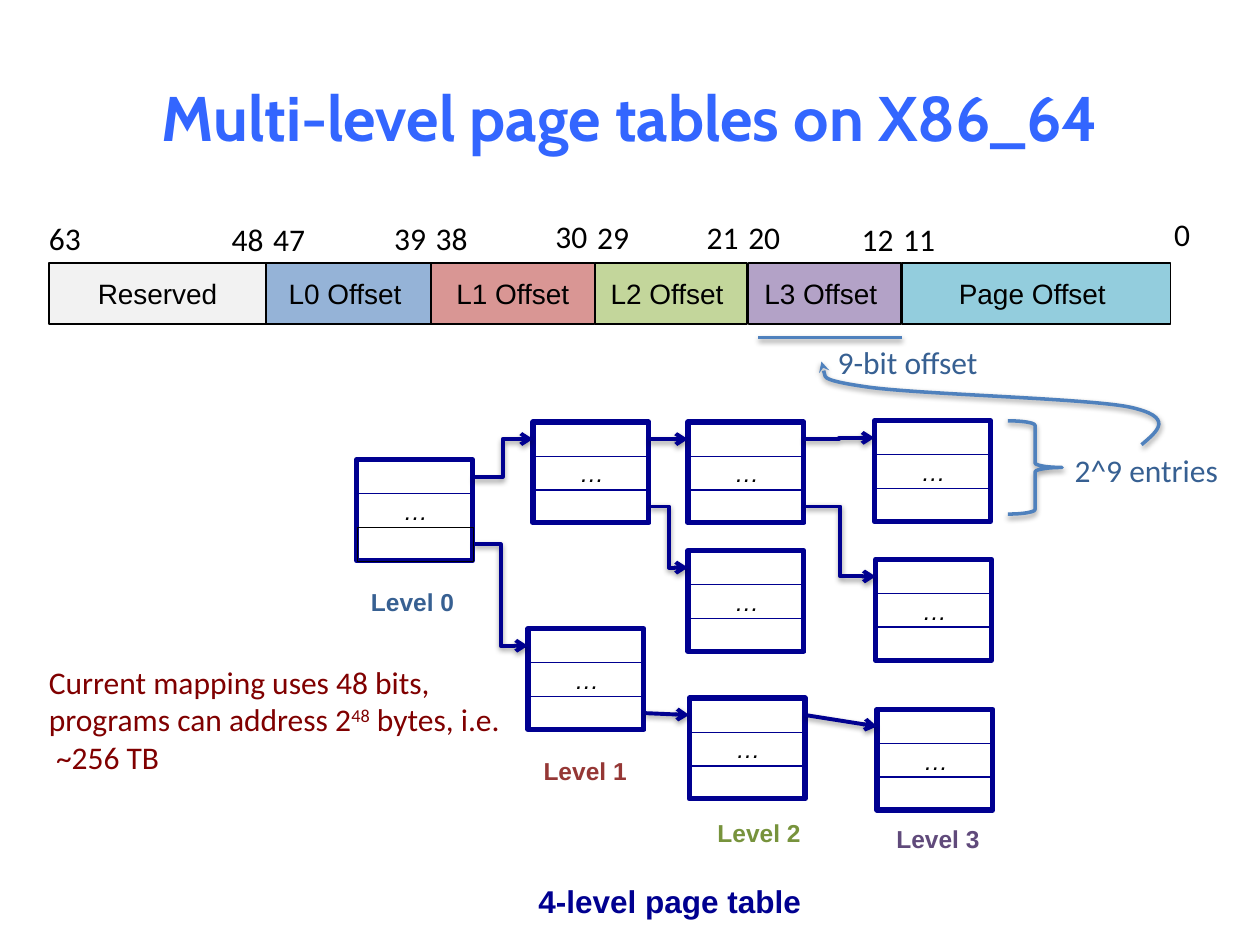
from dataclasses import dataclass, field
import lxml.etree
import pptx
import pptx.util
import pptx.dml.color
import pptx.oxml
import pptx.oxml.ns
import pptx.enum.shapes
import pptx.enum.text

SHAPE = pptx.enum.shapes.MSO_SHAPE
CONNECTOR = pptx.enum.shapes.MSO_CONNECTOR
ALIGN = pptx.enum.text.PP_ALIGN
ANCHOR = pptx.enum.text.MSO_ANCHOR
COLUMNS, ROWS = 100, 75                      # square grid over the slide
CELL = pptx.util.Inches(10) // COLUMNS
qn = pptx.oxml.ns.qn


@dataclass
class Theme:
    black: str = "000000"
    navy: str = "000090"
    accent: str = "4F81BD"
    note: str = "376092"
    maroon: str = "800000"
    heading: str = "3366FF"
    levels: tuple = ("376092", "953735", "77933C", "604A7B")
    title: dict = field(default_factory=lambda: dict(name="Cabin", size=36, bold=True))
    body: dict = field(default_factory=lambda: dict(name="Calibri", size=18))
    bit_field: dict = field(default_factory=lambda: dict(name="Arial", size=16))
    entry: dict = field(default_factory=lambda: dict(name="Arial", size=14, italic=True))
    level: dict = field(default_factory=lambda: dict(name="Arial", size=14, bold=True))
    caption: dict = field(default_factory=lambda: dict(name="Arial", size=18, bold=True))


THEME = Theme()


@dataclass
class Box:
    left: float
    top: float
    width: float
    height: float

    def inner(self, left, top, width, height):
        return Box(self.left + left, self.top + top, width, height)

    def point(self, x, y):
        return round((self.left + x) * CELL), round((self.top + y) * CELL)

    def lengths(self):
        return [round(n * CELL) for n in (self.left, self.top, self.width, self.height)]


def rgb(colour):
    return pptx.dml.color.RGBColor.from_string(colour)


def write(paragraph, text, style, colour, align=ALIGN.LEFT):
    run = paragraph.add_run()
    run.text = text
    paragraph.alignment = align
    for name, value in style.items():
        setattr(run.font, name, pptx.util.Pt(value) if name == "size" else value)
    run.font.color.rgb = rgb(colour)
    return run


def add_text(shapes, box, text, style, colour, align=ALIGN.LEFT, wrap=True):
    frame = shapes.add_textbox(*box.lengths()).text_frame
    frame.word_wrap = wrap
    frame.auto_size = pptx.enum.text.MSO_AUTO_SIZE.SHAPE_TO_FIT_TEXT
    if text:
        write(frame.paragraphs[0], text, style, colour, align)
    return frame


def set_line(shape, colour, width):
    shape.line.color.rgb = rgb(colour)
    shape.line.width = pptx.util.Pt(width)


def add_rectangle(shapes, box, colour, width, fill=None):
    rectangle = shapes.add_shape(SHAPE.RECTANGLE, *box.lengths())
    rectangle.shadow.inherit = False
    if fill:
        rectangle.fill.solid()
        rectangle.fill.fore_color.rgb = rgb(fill)
    else:
        rectangle.fill.background()
    set_line(rectangle, colour, width)
    rectangle.text_frame.vertical_anchor = ANCHOR.MIDDLE
    return rectangle


def set_shadowed_line(shape, colour, width, arrow=None):
    set_line(shape, colour, width)
    properties = shape._element.spPr
    if arrow:
        lxml.etree.SubElement(properties.find(qn("a:ln")), qn("a:tailEnd"), type=arrow)
    properties.append(pptx.oxml.parse_xml(
        f'<a:effectLst {pptx.oxml.ns.nsdecls("a")}>'
        '<a:outerShdw blurRad="40000" dist="20000" dir="5400000" rotWithShape="0">'
        '<a:srgbClr val="000000"><a:alpha val="38000"/></a:srgbClr>'
        '</a:outerShdw></a:effectLst>'))


def place_title(slide, box):
    title = slide.shapes.title
    title.left, title.top, title.width, title.height = box.lengths()
    title.text_frame.vertical_anchor = ANCHOR.MIDDLE
    write(title.text_frame.paragraphs[0], "Multi-level page tables on X86_64",
          THEME.title, THEME.heading, ALIGN.CENTER)


def place_address(slide, box):
    # text, fill, left, width, then each bit label with its left and top
    fields = [
        ("Reserved", "F2F2F2", 0, 17.2, ("63", -1, .3), ("48", 13.5, .4)),
        ("L0 Offset ", "95B3D7", 17.2, 13.2, ("47", 16.8, .4), ("39", 26.4, .3)),
        ("L1 Offset", "D99694", 30.3, 13, ("38", 29.7, .3), ("30", 39.2, .1)),
        ("L2 Offset ", "C3D69B", 43.3, 12.1, ("29", 42.5, .2), ("21", 51.2, .2)),
        ("L3 Offset ", "B3A2C7", 55.5, 12.1, ("20", 54.5, .2), ("12", 63.5, .4)),
        ("Page Offset ", "93CDDD", 67.7, 21.3, ("11", 66.8, .4), ("0", 88.3, 0)),
    ]
    for text, fill, left, width, *bits in fields:
        rectangle = add_rectangle(slide.shapes, box.inner(left, 4.3, width, 4.8),
                                  THEME.black, 1, fill)
        write(rectangle.text_frame.paragraphs[0], text, THEME.bit_field,
              THEME.black, ALIGN.CENTER)
        for bit, bit_left, bit_top in bits:
            add_text(slide.shapes, box.inner(bit_left, bit_top, 5.1, 4), bit,
                     THEME.body, THEME.black)


def place_table(slide, box, last_line):
    """Draw one page table and return its three entries."""
    add_rectangle(slide.shapes, box, THEME.navy, 3)
    places = [(0, 0, THEME.navy), (.1, 2.7, THEME.navy), (.1, 5.35, last_line)]
    entries = [add_rectangle(slide.shapes, box.inner(left, top, box.width, 2.7), line, .5)
               for left, top, line in places]
    write(entries[1].text_frame.paragraphs[0], "…", THEME.entry, THEME.black, ALIGN.CENTER)
    return entries


def place_page_tables(slide, box):
    corners = {"0": (0, 3.1), "1a": (14, .1), "1b": (13.6, 16.5),
               "2a": (26.3, .1), "2b": (26.3, 10.3), "2c": (26.4, 22),
               "3a": (41.1, 0), "3b": (41.2, 11), "3c": (41.3, 22.9)}
    tables = {name: place_table(slide, box.inner(*corner, 9.2, 8),
                                THEME.black if name == "0" else THEME.navy)
              for name, corner in corners.items()}

    # Each link runs from an entry to the first entry of the next table
    bent, straight = CONNECTOR.ELBOW, CONNECTOR.STRAIGHT
    links = [("0", 0, "1a", bent), ("0", 2, "1b", bent), ("1a", 0, "2a", bent),
             ("1a", 2, "2b", bent), ("1b", 2, "2c", straight), ("2a", 0, "3a", bent),
             ("2a", 2, "3b", bent), ("2c", 0, "3c", straight)]
    for source, entry, target, kind in links:
        link = slide.shapes.add_connector(kind, 0, 0, 0, 0)
        link.begin_connect(tables[source][entry], 3)
        link.end_connect(tables[target][0], 1)
        set_shadowed_line(link, THEME.navy, 2.25, "arrow")

    label_corners = [(.1, 12.7), (13.8, 26.1), (27.6, 31), (41.8, 31.5)]
    for level, corner in enumerate(label_corners):
        add_text(slide.shapes, box.inner(*corner, 8.7, 3.4), f"Level {level}",
                 THEME.level, THEME.levels[level], ALIGN.CENTER, wrap=False)
    add_text(slide.shapes, box.inner(13.3, 36.1, 23.1, 4), "4-level page table",
             THEME.caption, THEME.navy, ALIGN.CENTER, wrap=False)


def place_mapping_note(slide, box):
    frame = add_text(slide.shapes, box, "", THEME.body, THEME.maroon)
    lines = [["Current mapping uses 48 bits,"],
             ["programs can address 2", "48", " bytes, i.e."], [" ~256 TB"]]
    for number, pieces in enumerate(lines):
        paragraph = frame.add_paragraph() if number else frame.paragraphs[0]
        for piece in pieces:
            run = write(paragraph, piece, THEME.body, THEME.maroon)
            if piece == "48":
                run._r.get_or_add_rPr().set("baseline", "30000")


def add_curve(slide, points):
    """Draw a cubic curve: a start, then three points for each arc."""
    builder = slide.shapes.build_freeform(*points[0], scale=1.0)
    builder.add_line_segments(points[1:], close=False)
    curve = builder.convert_to_shape()
    segments = list(curve._element.iter(qn("a:lnTo")))
    for first in range(0, len(segments), 3):
        arc = lxml.etree.Element(qn("a:cubicBezTo"))
        segments[first].addprevious(arc)
        for segment in segments[first:first + 3]:
            arc.append(segment[0])
            segment.getparent().remove(segment)
    curve.fill.background()
    return curve


def place_offset_notes(slide, box):
    # Underline of the L3 field
    underline = slide.shapes.add_connector(CONNECTOR.STRAIGHT, *box.point(0, .1),
                                           *box.point(11.4, .1))
    set_shadowed_line(underline, THEME.accent, 2)
    # Brace beside the last table
    brace = slide.shapes.add_shape(SHAPE.RIGHT_BRACE,
                                   *box.inner(19.8, 6.7, 4.3, 7.4).lengths())
    brace.fill.background()
    set_shadowed_line(brace, THEME.accent, 2)
    # Curved arrow from the entry count to the offset
    stops = [(30.4, 8.6), (31.7, 7.5), (33.1, 6.4), (29.4, 5.6), (25.8, 4.9),
             (12.5, 4.6), (8.5, 4), (4.4, 3.4), (5, 2), (5, 2)]
    curve = add_curve(slide, [box.point(*stop) for stop in stops])
    set_shadowed_line(curve, THEME.accent, 2, "stealth")
    for text, left, top, width in [("9-bit offset", 5.3, 0, 13.3),
                                   ("2^9 entries", 24.1, 8.6, 13.5)]:
        add_text(slide.shapes, box.inner(left, top, width, 4), text,
                 THEME.body, THEME.note, wrap=False)


def main():
    presentation = pptx.Presentation()
    presentation.slide_width = COLUMNS * CELL
    presentation.slide_height = ROWS * CELL
    slide = presentation.slides.add_slide(presentation.slide_layouts[5])
    place_title(slide, Box(5, 3, 90, 12.5))
    place_address(slide, Box(3.9, 16.6, 89, 9.1))
    place_page_tables(slide, Box(28.3, 33.4, 50.5, 40))
    place_mapping_note(slide, Box(2.9, 52.1, 50, 10.1))
    place_offset_notes(slide, Box(60.2, 26.7, 37.6, 14.1))
    presentation.save("out.pptx")


if __name__ == "__main__":
    main()
